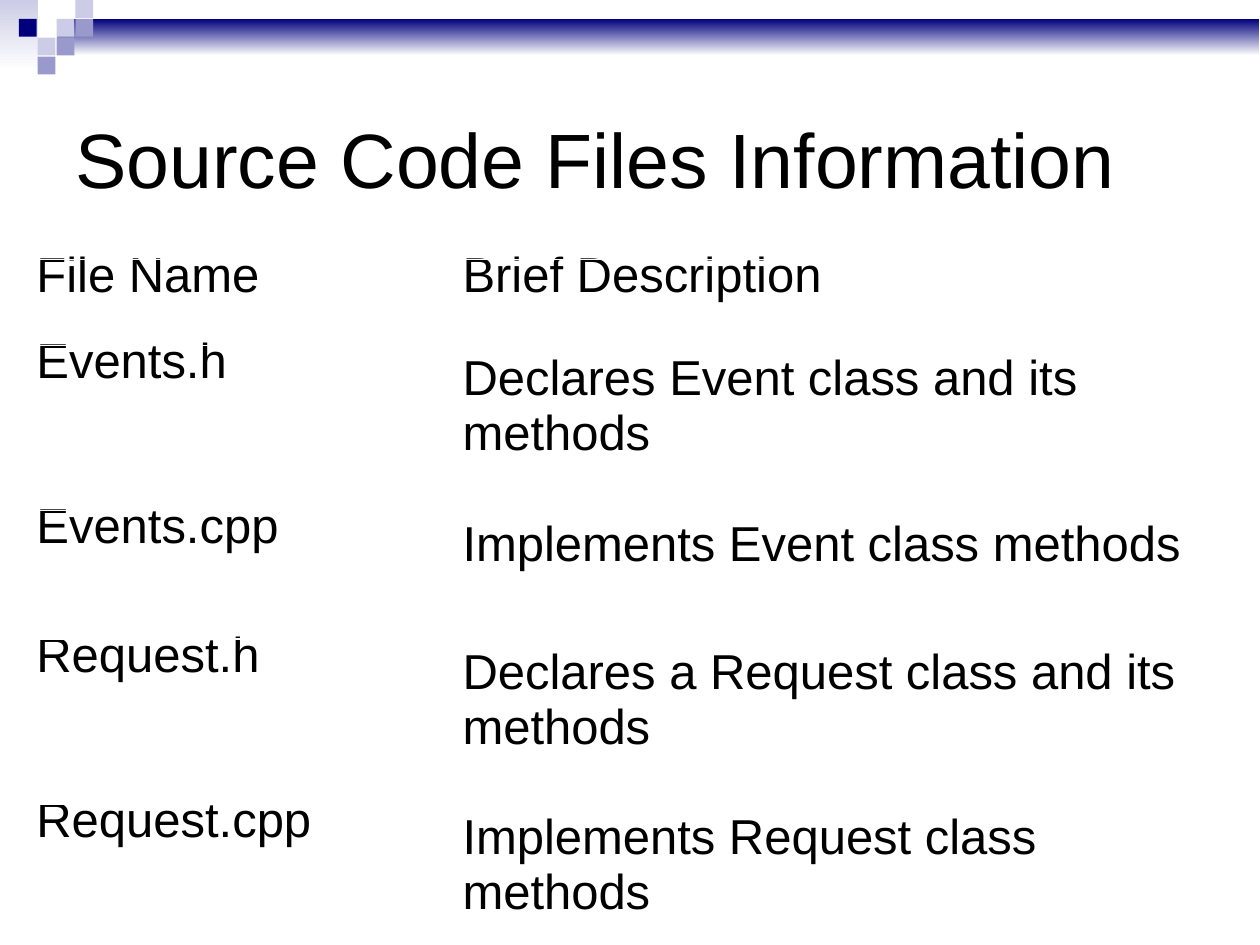
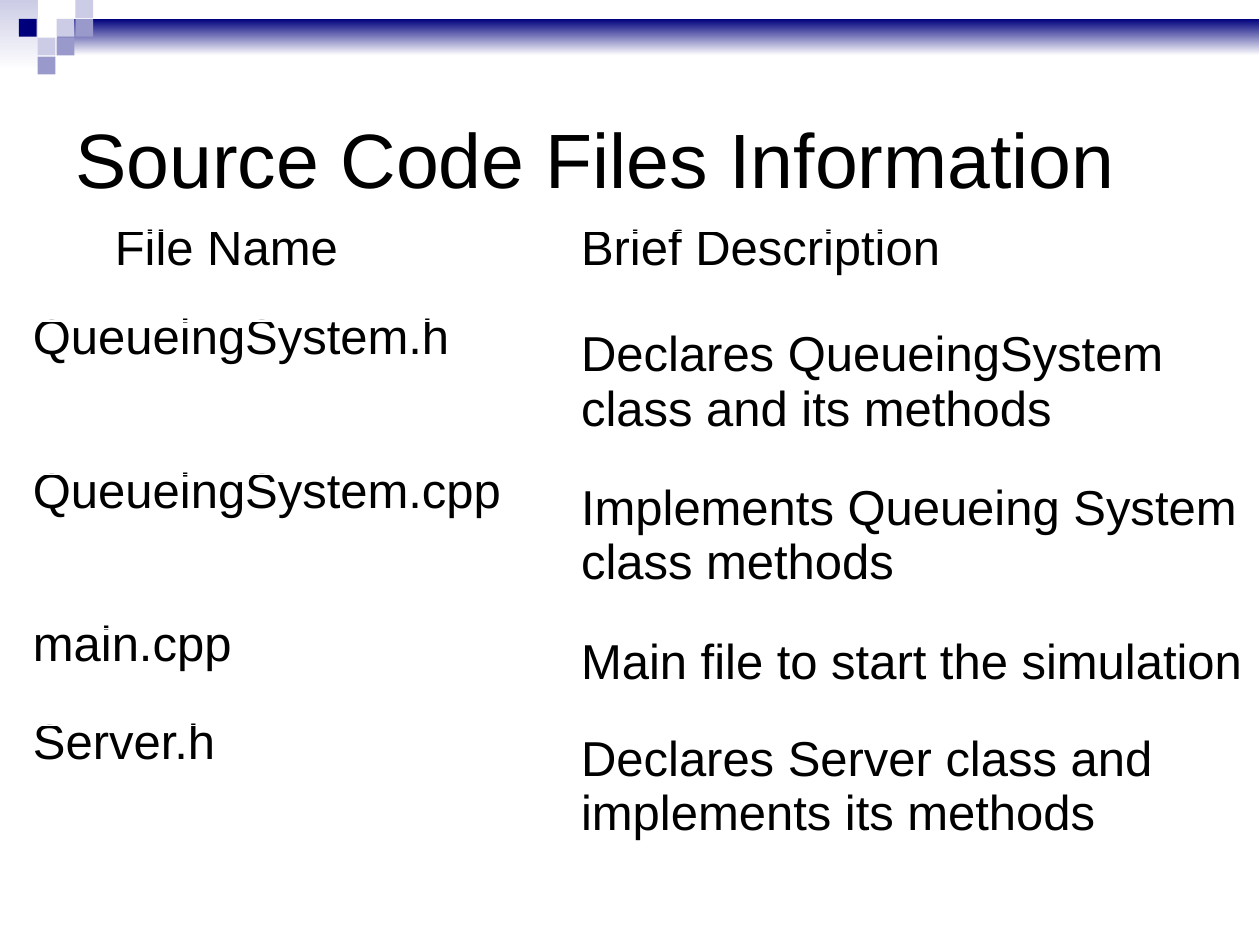
from pptx import Presentation
from pptx.dml.color import RGBColor
from pptx.enum.shapes import MSO_SHAPE
from pptx.enum.text import MSO_ANCHOR
from pptx.util import Cm, Pt

COLORS = {
    "text": "000000",
    "white": "FFFFFF",
    "navy": "00007D",
    "lavender": "CCCCE6",
    "violet": "9999CC",
}
FONT = "Arial"
TITLE = "Source Code Files Information"
HEADER = ("File Name", "Brief Description")

# Corner ornament: fading bands, then squares as (column, row, colour) on a grid
BANDS = [
    (0, 0, 0.76, 1.44, "lavender"),
    (1.14, 0.38, 24.24, 0.74, "navy"),
]
GRID_STEP, SQUARE_SIZE = 0.38, 0.36
SQUARES = [
    (3, 1, "lavender"),
    (4, 0, "lavender"),
    (4, 1, "violet"),
    (2, 2, "lavender"),
    (1, 1, "navy"),
    (3, 2, "violet"),
    (2, 3, "violet"),
]

FILE_LISTS = [
    {
        "origin": (0.48, 5.23),
        "columns": (8.59, 15.8),
        "rows": (1.73, 3.33, 2.59, 3.33, 3.33),
        "header_indent": 0,
        "files": [
            ("Events.h", "Declares Event class and its methods"),
            ("Events.cpp", "Implements Event class methods"),
            ("Request.h", "Declares a Request class and its methods"),
            ("Request.cpp", "Implements Request class methods"),
        ],
    },
    {
        "origin": (0.41, 4.67),
        "columns": (11.05, 13.84),
        "rows": (1.8, 3.1, 3.1, 1.96, 4.06),
        "header_indent": 1.65,
        "files": [
            ("QueueingSystem.h", "Declares QueueingSystem class and its methods"),
            ("QueueingSystem.cpp", "Implements Queueing System class methods"),
            ("main.cpp", "Main file to start the simulation"),
            ("Server.h", "Declares Server class and implements its methods"),
        ],
    },
]


def write(frame, text, size=28, line_spacing=1.0, indent=0):
    frame.word_wrap = True
    paragraph = frame.paragraphs[0]
    paragraph.line_spacing = line_spacing
    if indent:
        paragraph._p.get_or_add_pPr().set("marL", str(Cm(indent)))
    run = paragraph.add_run()
    run.text = text
    run.font.name = FONT
    run.font.size = Pt(size)
    run.font.color.rgb = RGBColor.from_string(COLORS["text"])


def add_block(slide, left, top, width, height, color, fading=False):
    """Add a borderless rectangle, optionally fading to white at its foot."""
    block = slide.shapes.add_shape(
        MSO_SHAPE.RECTANGLE, Cm(left), Cm(top), Cm(width), Cm(height))
    block.shadow.inherit = False
    block.line.fill.background()
    if fading:
        block.fill.gradient()
        block.fill.gradient_angle = 90
        for stop, name in zip(block.fill.gradient_stops, ("white", color)):
            stop.color.rgb = RGBColor.from_string(COLORS[name])
    else:
        block.fill.solid()
        block.fill.fore_color.rgb = RGBColor.from_string(COLORS[color])


deck = Presentation()
deck.slide_width, deck.slide_height = Cm(25.4), Cm(19.05)

for file_list in FILE_LISTS:
    slide = deck.slides.add_slide(deck.slide_layouts[6])

    for left, top, width, height, color in BANDS:
        add_block(slide, left, top, width, height, color, fading=True)
    for column, row, color in SQUARES:
        add_block(slide, column * GRID_STEP, row * GRID_STEP,
                  SQUARE_SIZE, SQUARE_SIZE, color)

    title = slide.shapes.add_textbox(Cm(1.27), Cm(1.27), Cm(22.86), Cm(3.81))
    title.text_frame.vertical_anchor = MSO_ANCHOR.MIDDLE
    write(title.text_frame, TITLE, size=44)

    left, top = file_list["origin"]
    columns, rows = file_list["columns"], file_list["rows"]
    listing = slide.shapes.add_table(
        len(rows), len(columns), Cm(left), Cm(top),
        Cm(sum(columns)), Cm(sum(rows))).table
    listing.first_row = False
    listing.horz_banding = False
    for column, width in zip(listing.columns, columns):
        column.width = Cm(width)
    for row, height in zip(listing.rows, rows):
        row.height = Cm(height)

    for r, entry in enumerate([HEADER, *file_list["files"]]):
        for c, text in enumerate(entry):
            cell = listing.cell(r, c)
            cell.fill.background()
            is_description = r > 0 and c == 1
            is_first = r == 0 and c == 0
            write(cell.text_frame, text,
                  line_spacing=1.0 if is_description else 0.62,
                  indent=file_list["header_indent"] if is_first else 0)

deck.save("out.pptx")
